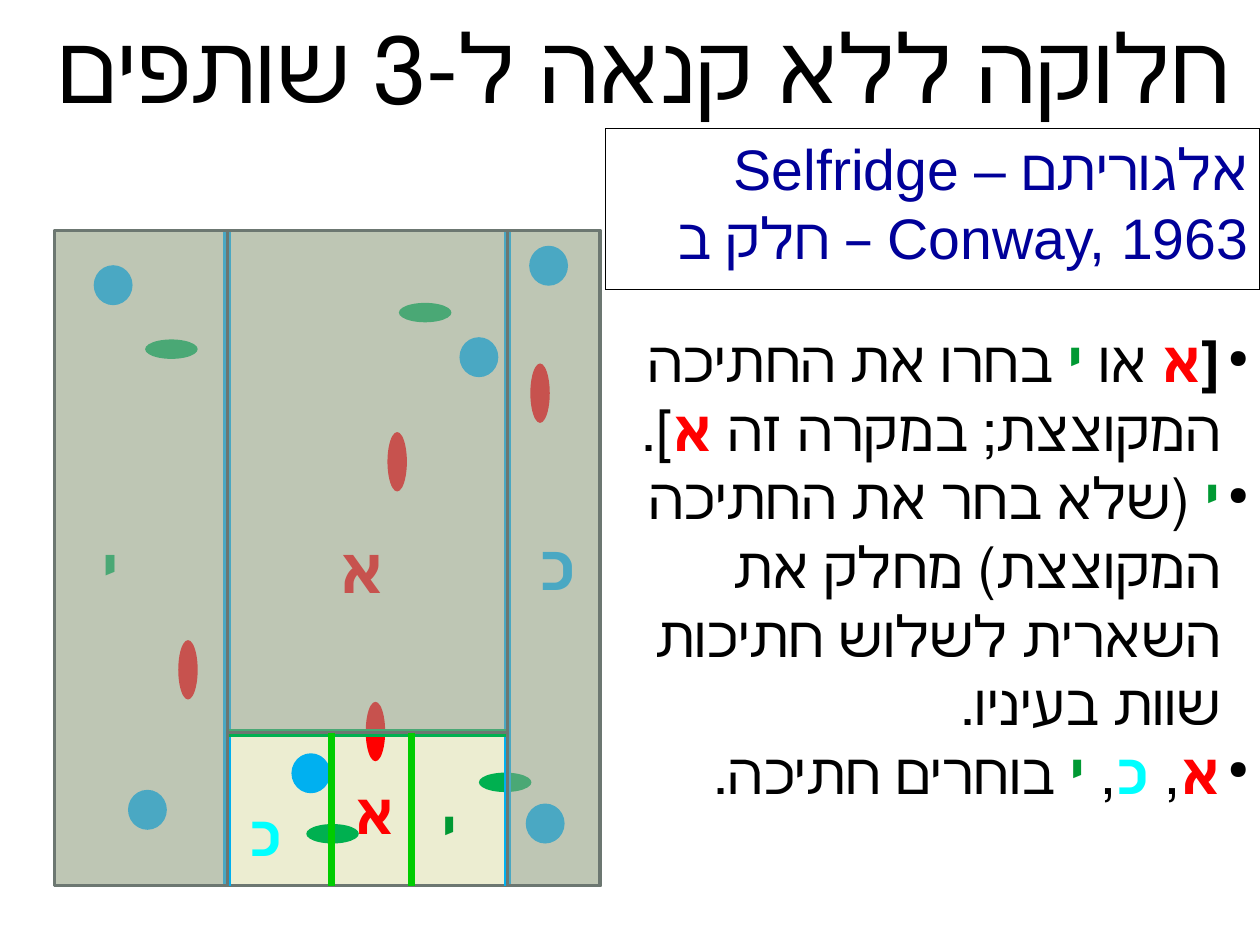
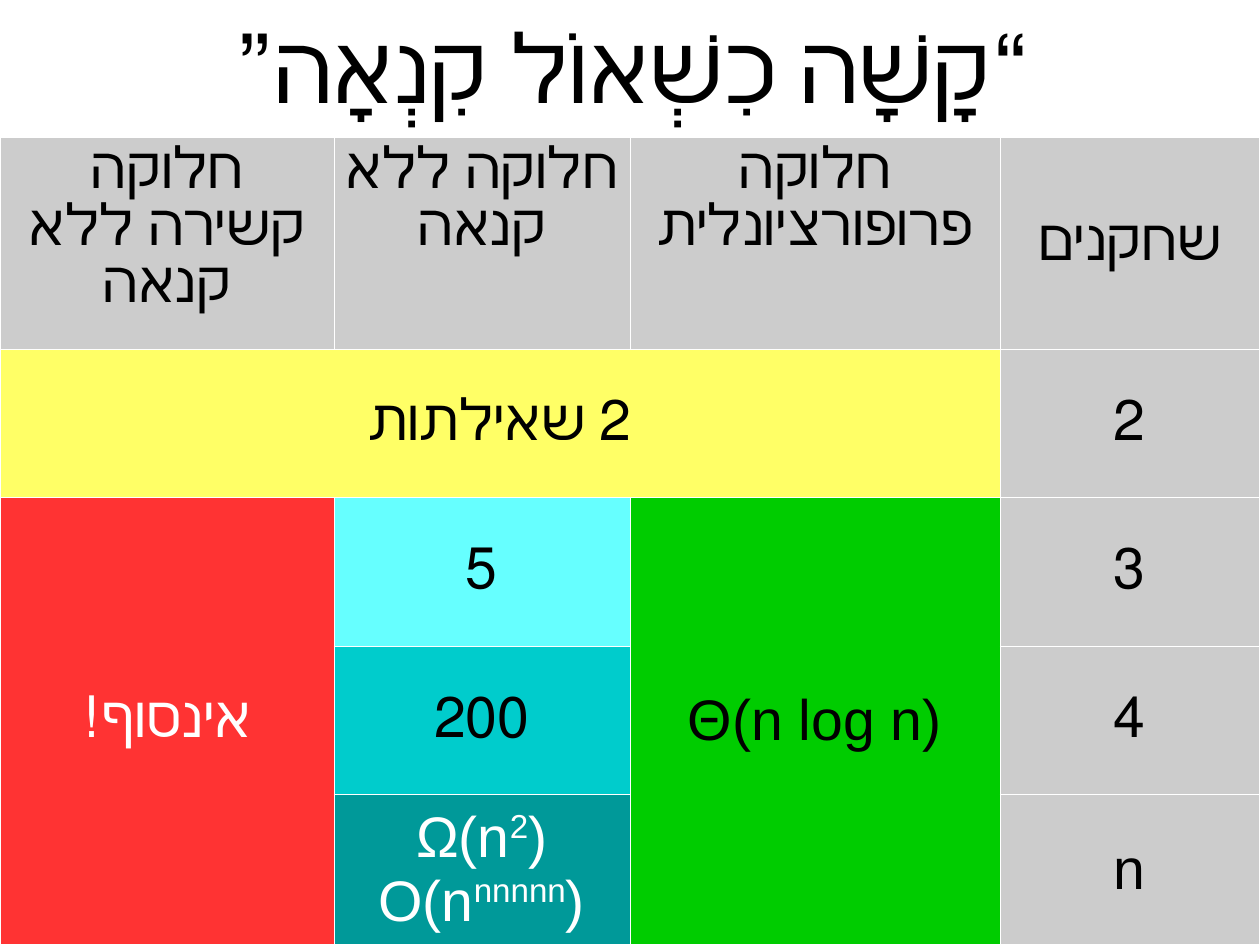
from dataclasses import dataclass

from lxml import etree
from pptx import Presentation
from pptx import util as u
from pptx.dml import color
from pptx.enum import shapes, text
from pptx.oxml import ns


@dataclass(frozen=True)
class Theme:
    font: str = "Arial"
    title: float = 60
    body: float = 36
    letter: float = 40
    black: str = "000000"
    white: str = "FFFFFF"
    navy: str = "000099"
    cake: str = "ECEDD1"
    cake_edge: str = "6C7771"
    veil: str = "93A299"
    blue: str = "00B0F0"
    green: str = "00B050"
    red: str = "FF0000"
    cyan: str = "00FFFF"
    leaf: str = "009933"
    lime: str = "00CC00"
    grey: str = "CCCCCC"
    yellow: str = "FFFF66"
    coral: str = "FF3333"
    pale_aqua: str = "66FFFF"
    aqua: str = "00CCCC"
    teal: str = "009999"


T = Theme()
LEFT, CENTER, RIGHT = text.PP_ALIGN.LEFT, text.PP_ALIGN.CENTER, text.PP_ALIGN.RIGHT
TOP, MIDDLE = text.MSO_ANCHOR.TOP, text.MSO_ANCHOR.MIDDLE
CM = 1 / 2.54
TITLE_BOX = (0.2, 0.05, 10.9, 1.05)


# Shared helpers
def rgb(value):
    return color.RGBColor.from_string(value)


def inches(values):
    return [u.Inches(value) for value in values]


def add_xml(parent, tag, **attributes):
    return etree.SubElement(parent, ns.qn(tag), attributes)


def set_all(target, **values):
    for name, value in values.items():
        setattr(target, name, value)


def write(frame, paragraphs, size=T.body, align=RIGHT, rtl=True, indent=None,
          bullet=False, spacing=None):
    """Each paragraph is a list of (words, colour, bold, superscript); the last two may be left out."""
    for index, spans in enumerate(paragraphs):
        para = frame.add_paragraph() if index else frame.paragraphs[0]
        set_all(para, alignment=align, line_spacing=spacing)
        props = para._p.get_or_add_pPr()
        if rtl:
            props.set("rtl", "1")
        if indent:
            props.set("marL", str(u.Inches(indent)))
            props.set("indent", str(u.Inches(-indent) if bullet else 0))
        if bullet:
            add_xml(add_xml(props, "a:buClr"), "a:srgbClr", val=T.black)
            add_xml(props, "a:buSzPct", val="45000")
            add_xml(props, "a:buChar", char="●")
        for words, tint, *style in spans:
            bold, raised = (style + [False, False])[:2]
            span = para.add_run()
            span.text = words
            set_all(span.font, name=T.font, size=u.Pt(size), bold=bold)
            span.font.color.rgb = rgb(tint)
            if raised:
                span._r.rPr.set("baseline", "33000")


def add_text(page, box, paragraphs, wrap=True, anchor=TOP, grow=True, **style):
    shape = page.shapes.add_textbox(*inches(box))
    auto = text.MSO_AUTO_SIZE
    set_all(shape.text_frame, word_wrap=wrap, vertical_anchor=anchor,
            auto_size=auto.SHAPE_TO_FIT_TEXT if grow else auto.NONE)
    write(shape.text_frame, paragraphs, **style)
    return shape


def add_block(page, kind, box, fill, edge=None, alpha=None):
    shape = page.shapes.add_shape(kind, *inches(box))
    shape.shadow.inherit = False
    shape.fill.solid()
    shape.fill.fore_color.rgb = rgb(fill)
    if alpha:
        tint = shape.fill._xPr.find(".//" + ns.qn("a:srgbClr"))
        add_xml(tint, "a:alpha", val=str(alpha * 1000))
    if edge:
        shape.line.color.rgb = rgb(edge)
        shape.line.width = u.Pt(2)
    else:
        shape.line.fill.background()


def add_cut(page, start, end, tint, width):
    line = page.shapes.add_connector(shapes.MSO_CONNECTOR.STRAIGHT, *inches(start + end))
    line.line.color.rgb = rgb(tint)
    line.line.width = u.Pt(width)
    add_xml(line._element.spPr, "a:effectLst")


def add_title(page, words, align):
    add_text(page, TITLE_BOX, [[(words, T.black)]], anchor=MIDDLE, grow=False,
             size=T.title, align=align, indent=0.24)


# The cake: toppings, first cuts, shaded pieces and the divided trimming
def draw_cake(page, box):
    left, top, width, height = box
    cut_a, cut_b, trim = 1.51, 3.96, 4.39
    rect, oval = shapes.MSO_SHAPE.RECTANGLE, shapes.MSO_SHAPE.OVAL

    def at(x, y):
        return left + x, top + y

    add_block(page, rect, box, T.cake, T.cake_edge)
    toppings = [
        (T.blue, (0.34, 0.35), [(3.54, 0.93), (4.12, 5.01), (4.15, 0.13),
                                (0.34, 0.3), (2.07, 4.57), (0.64, 4.89)]),
        (T.green, (0.46, 0.17), [(3.01, 0.63), (0.79, 0.95), (2.2, 5.19), (3.71, 4.74)]),
        (T.red, (0.17, 0.52), [(4.16, 1.16), (2.91, 1.76), (1.08, 3.58), (2.72, 4.12)]),
    ]
    for tint, size, spots in toppings:
        for spot in spots:
            add_block(page, oval, at(*spot) + size, tint)

    # Owners of the large pieces
    for letter, tint, x, y, w in [("כ", T.blue, 4.13, 2.6, 0.51),
                                  ("א", T.red, 2.39, 2.63, 0.6),
                                  ("י", T.green, 0.31, 2.63, 0.36)]:
        add_text(page, at(x, y) + (w, 0.72), [[(letter, tint, True)]], wrap=False,
                 size=T.letter, align=LEFT, rtl=False, spacing=0.93)

    # First cuts, then the shaded pieces already handed out
    for x in (cut_a, cut_b):
        add_cut(page, at(x, 0), at(x, height), T.blue, 5)
    add_cut(page, at(cut_b, trim), at(cut_a, trim), T.green, 5)
    for x, w, h in [(0, cut_a, height), (cut_a, cut_b - cut_a, trim),
                    (cut_b, width - cut_b, height)]:
        add_block(page, rect, at(x, 0) + (w, h), T.veil, T.cake_edge, alpha=51)

    # Trimming in three parts
    for x in (2.42, 3.12):
        add_cut(page, at(x, trim), at(x, height), T.lime, 4.31)
    for letter, tint, x, y, w in [("א", T.red, 2.32, 4.73, 0.76),
                                  ("כ", T.cyan, 1.62, 4.92, 0.47),
                                  ("י", T.leaf, 3.29, 4.88, 0.33)]:
        add_text(page, at(x, y) + (w, 0.68), [[(letter, tint, True)]])


# Algorithm name and its steps, stacked in one column
def draw_steps(page, box):
    left, top, width, height = box
    name = add_text(page, (left, top, width, 1.41),
                    [[("אלגוריתם Selfridge – Conway, 1963 – חלק ב", T.navy)]])
    name.line.color.rgb = rgb(T.black)
    name.line.width = 0

    alef, yod, kaf = ("א", T.red, True), ("י", T.leaf, True), ("כ", T.cyan, True)
    comma = (", ", T.black)
    steps = [
        [("[", T.black, True), alef, (" או ", T.black), yod,
         (" בחרו את החתיכה המקוצצת; במקרה זה ", T.black), alef, ("].", T.black)],
        [yod, (" (שלא בחר את החתיכה המקוצצת) מחלק את השארית "
               "לשלוש חתיכות שוות בעיניו.", T.black)],
        [alef, comma, kaf, comma, yod, (" בוחרים חתיכה.", T.black)],
    ]
    add_text(page, (left, top + 1.68, width, height - 1.68), steps, indent=0.24, bullet=True)


# Table of query counts
def set_borders(cell):
    props = cell._tc.get_or_add_tcPr()
    for index, side in enumerate(("a:lnL", "a:lnR", "a:lnT", "a:lnB")):
        line = etree.Element(ns.qn(side), w=str(u.Pt(0.06)))
        add_xml(add_xml(line, "a:solidFill"), "a:srgbClr", val=T.white)
        props.insert(index, line)


def draw_table(page, box, columns, rows):
    frame = page.shapes.add_table(len(rows), len(columns), *inches(box))
    table = frame.table
    set_all(table, first_row=False, horz_banding=False)
    for column, width in zip(table.columns, columns):
        column.width = u.Inches(width)
    for row, height in zip(table.rows, rows):
        row.height = u.Inches(height)

    def plain(words, tint=T.black):
        return [[(words, tint)]]

    def power(base, exponent):
        return [(base, T.white), (exponent, T.white, False, True), (")", T.white)]

    # (row, column): (paragraphs, fill, row span, column span)
    cells = {
        (1, 0): (plain("2 שאילתות"), T.yellow, 1, 3),
        (2, 0): (plain("אינסוף!", T.white), T.coral, 3, 1),
        (2, 1): (plain("5"), T.pale_aqua, 1, 1),
        (2, 2): (plain("Θ(n log n)"), T.lime, 3, 1),
        (3, 1): (plain("200"), T.aqua, 1, 1),
        (4, 1): ([power("Ω(n", "2"), power("O(n", "nnnnn")], T.teal, 1, 1),
    }
    heads = ["חלוקה קשירה ללא קנאה", "חלוקה ללא קנאה", "חלוקה פרופורציונלית"]
    for column, words in enumerate(heads):
        cells[0, column] = (plain(words), T.grey, 1, 1)
    for row, words in enumerate(["שחקנים", "2", "3", "4", "n"]):
        cells[row, 3] = (plain(words), T.grey, 1, 1)

    for cell in table.iter_cells():
        set_borders(cell)
    formulas = {(2, 2), (4, 1)}
    for (row, column), (words, fill, down, across) in cells.items():
        cell = table.cell(row, column)
        if down * across > 1:
            cell.merge(table.cell(row + down - 1, column + across - 1))
        cell.fill.solid()
        cell.fill.fore_color.rgb = rgb(fill)
        cell.vertical_anchor = TOP if row == 0 and column < 3 else MIDDLE
        write(cell.text_frame, words, align=CENTER, rtl=(row, column) not in formulas)


# Slides
def build_division(page):
    add_title(page, "חלוקה ללא קנאה ל-3 שותפים", RIGHT)
    draw_cake(page, (0.48, 2.02, 4.77, 5.73))
    draw_steps(page, (5.3, 1.12, 5.72, 5.7))


def build_summary(page):
    add_title(page, "“קָשָׁה כִשְׁאוֹל קִנְאָה”", CENTER)
    draw_table(page, (0, 1.2, 11.02, 7.07), [2.92, 2.59, 3.24, 2.27],
               [1.85, 1.3, 1.3, 1.3, 1.31])


def main():
    deck = Presentation()
    deck.slide_width = u.Inches(28 * CM)
    deck.slide_height = u.Inches(21 * CM)
    for build in (build_division, build_summary):
        build(deck.slides.add_slide(deck.slide_layouts[6]))
    deck.save("out.pptx")


if __name__ == "__main__":
    main()
